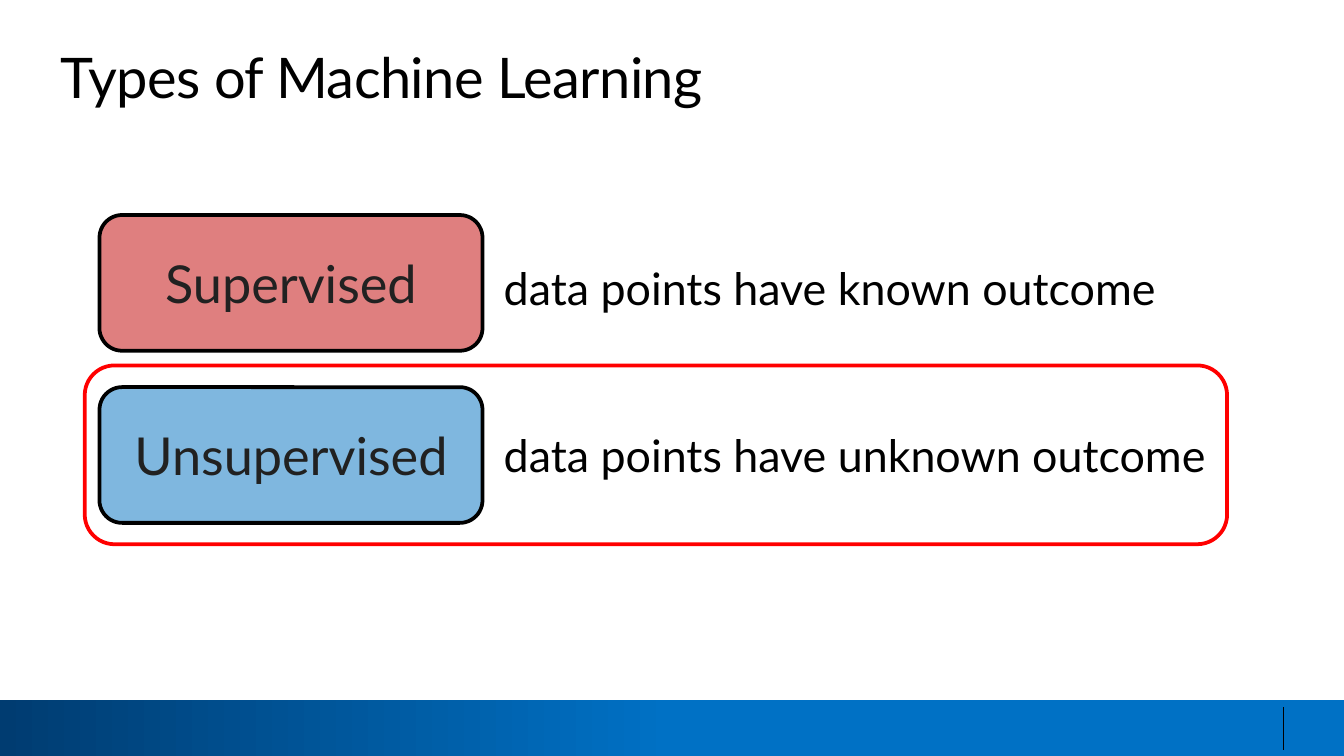
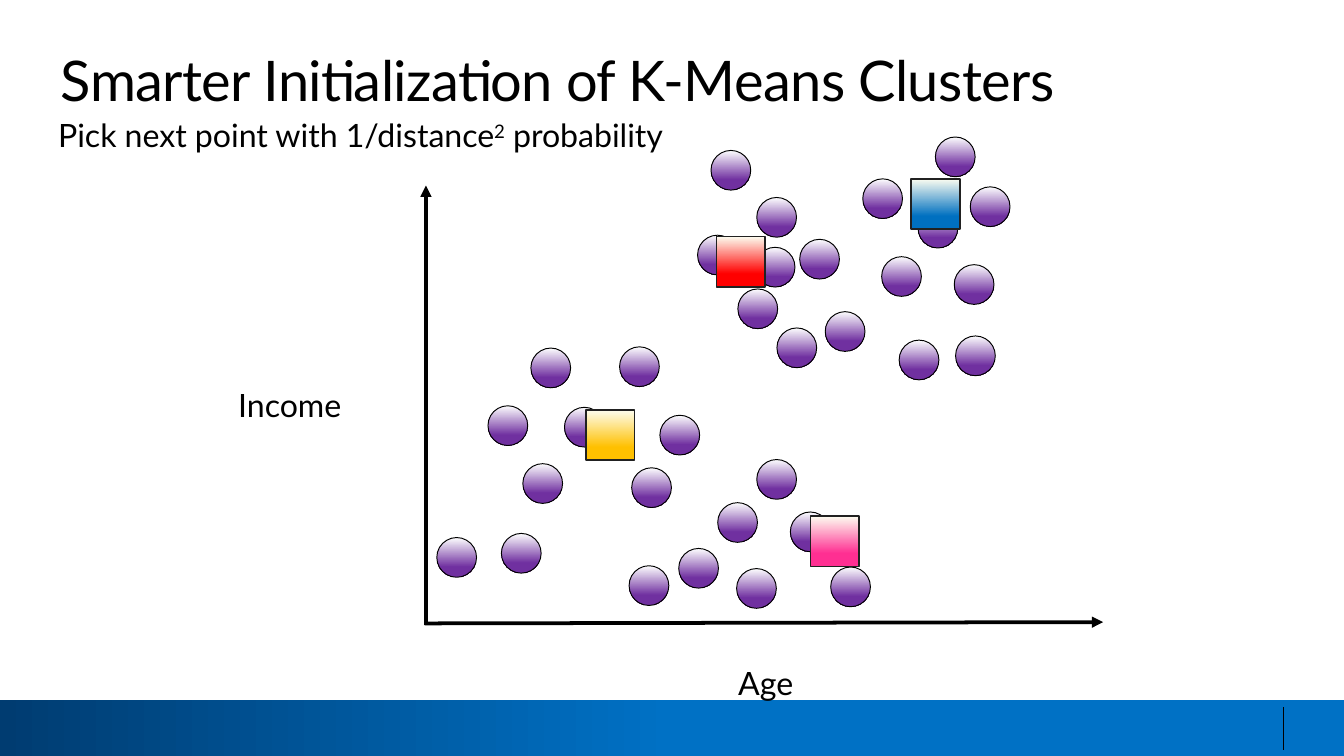
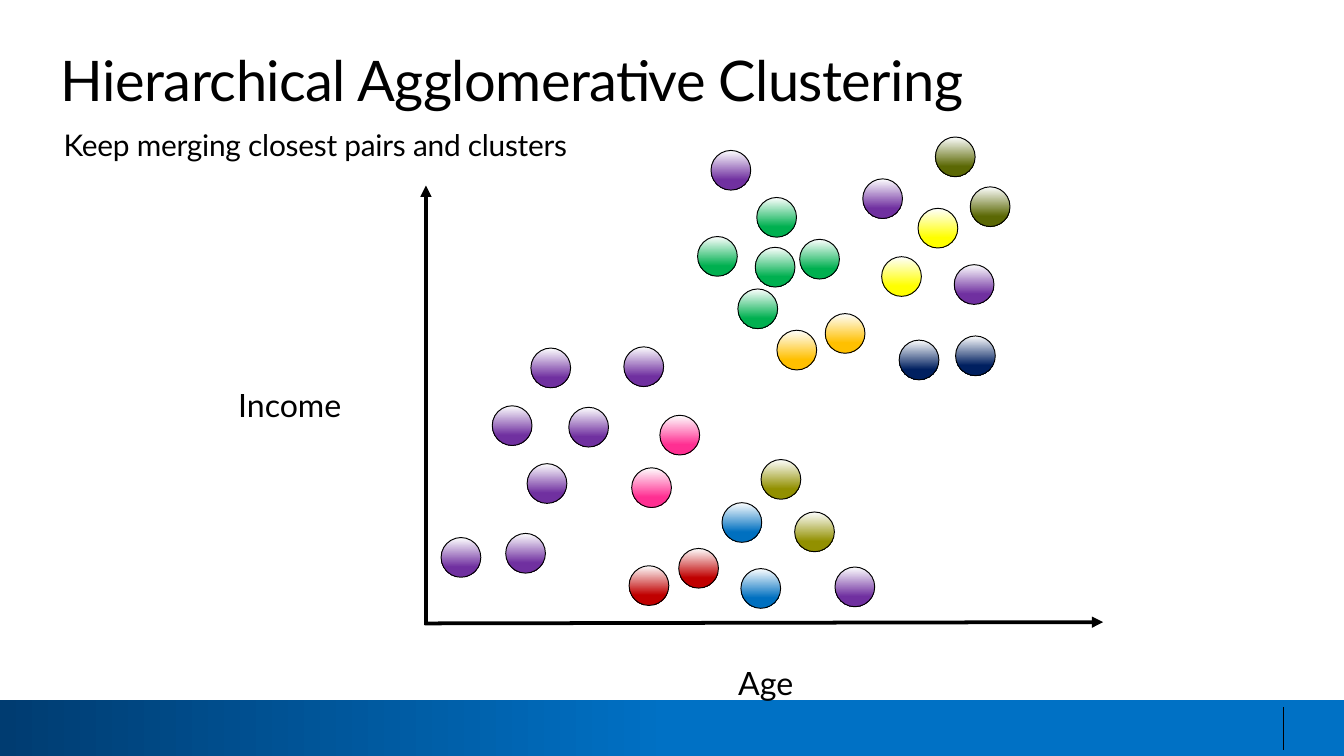
from lxml import etree
from pptx import Presentation
from pptx import util as u
from pptx.dml.color import RGBColor
from pptx.enum import shapes, text
from pptx.oxml import ns

FONT = "Lato"
BLACK, INK = "000000", "212121"
PURPLE, GREEN, AMBER, NAVY = "7030A0", "00B050", "FFC000", "002060"
YELLOW, MOSS, PINK, RED = "FFFF00", "5B6804", "FF2F92", "C00000"
BLUE, OLIVE, BRIGHT_RED = "0070C0", "929000", "FF0000"

W, H = 720, 405
BAND = (0, 375, W, 30)
PLOT = (228, 99, 363, 235)
TYPES = (45.4, 115.2, 612, 176.4)
DOT = 21.3
CENTROID = (26, 27)

# Offsets from the plot corner, colour after merging, shift on the merging slide
CUSTOMERS = [
    (152.9, -18.4, PURPLE, 0, 0),
    (145.7, 27, GREEN, 0, 0.7),
    (177.4, 6.8, GREEN, 0, 0),
    (176.6, 33.5, GREEN, 0, 0),
    (167.3, 55.8, GREEN, 0, 0),
    (200.4, 29.2, GREEN, 0, 0),
    (214.1, 68, AMBER, 0, 1),
    (188.2, 76.7, AMBER, 0, 1.2),
    (253.7, 83.2, NAVY, 0, 0),
    (283.9, 81, NAVY, 0, 0),
    (283.2, 42.8, PURPLE, 0, 0),
    (244.3, 38.5, YELLOW, 0, 0),
    (263.8, 12.6, YELLOW, 0, 0),
    (291.8, 1.1, MOSS, 0, 0),
    (273.1, -25.6, MOSS, 0, 0),
    (234.2, -3.2, PURPLE, 0, 0),
    (6, 189, PURPLE, 2.3, 0),
    (33.4, 118.4, PURPLE, 2.3, 0),
    (56.4, 87.5, PURPLE, 0, 0),
    (74.4, 119.2, PURPLE, 2.3, 0),
    (103.9, 86.8, PURPLE, 2.3, 0),
    (125.5, 123.5, PINK, 0, 0),
    (110.4, 151.6, PINK, 0, 0),
    (52.1, 149.4, PURPLE, 2.3, 0),
    (40.6, 186.8, PURPLE, 2.3, 0),
    (109, 204.1, RED, 0, 0),
    (135.6, 194.8, RED, 0, 0),
    (156.5, 170.3, BLUE, 2.3, 0),
    (177.4, 147.2, OLIVE, 2.3, 0),
    (195.4, 175.3, OLIVE, 2.3, 0),
    (166.6, 205.6, BLUE, 2.3, 0),
    (217, 204.8, PURPLE, 2.3, 0),
]
CENTROIDS = [
    (85.9, 120.6, AMBER),
    (260.2, -3.2, BLUE),
    (155.8, 27.7, BRIGHT_RED),
    (206.2, 177.5, PINK),
]


def rgb(value):
    return RGBColor.from_string(value)


def pts(box):
    return [u.Pt(v) for v in box]


def add_shape(s, kind, box, line=None, width=1):
    sp = s.shapes.add_shape(kind, *pts(box))
    sp.shadow.inherit = False
    sp.fill.background()
    if line:
        sp.line.color.rgb = rgb(line)
        sp.line.width = u.Pt(width)
    else:
        sp.line.fill.background()
    return sp


def fade(sp, stops, angle):
    """Fill with two (position, colour) stops."""
    sp.fill.gradient()
    sp.fill.gradient_angle = angle
    for stop, (position, colour) in zip(sp.fill.gradient_stops, stops):
        stop.position = position
        stop.color.rgb = rgb(colour)


def fill_half(sp, colour):
    """Fill with a half-transparent colour."""
    sp.fill.solid()
    sp.fill.fore_color.rgb = rgb(colour)
    clr = sp.element.spPr.find(ns.qn("a:solidFill")).find(ns.qn("a:srgbClr"))
    etree.SubElement(clr, ns.qn("a:alpha"), val="50000")


def add_line(s, start, end, width, arrow=False):
    c = s.shapes.add_connector(shapes.MSO_CONNECTOR.STRAIGHT, *pts(start + end))
    c.line.color.rgb = rgb(BLACK)
    c.line.width = u.Pt(width)
    if arrow:
        etree.SubElement(c.get_or_add_ln(), ns.qn("a:tailEnd"), type="triangle")
    etree.SubElement(c.element.spPr, ns.qn("a:effectLst"))
    return c


def style(p, size, colour=BLACK, spacing=0):
    for r in p.runs:
        r.font.name = FONT
        r.font.size = u.Pt(size)
        r.font.color.rgb = rgb(colour)
        if spacing:
            r.font._element.set("spc", str(round(spacing * 100)))


def add_text(s, box, parts, size, spacing=0, leading=None, centre=False, inset=False):
    tf = s.shapes.add_textbox(*pts(box)).text_frame
    tf.word_wrap = True
    if not inset:
        tf.margin_left = u.Pt(1)
        tf.margin_right = tf.margin_top = tf.margin_bottom = 0
    p = tf.paragraphs[0]
    for part in parts:
        p.add_run().text = part
    if leading:
        p.line_spacing = leading
    if centre:
        p.alignment = text.PP_ALIGN.CENTER
    style(p, size, spacing=spacing)
    return p


def add_title(s, title, top=24.5):
    add_text(s, (31.7, top, 664.6, 36), [title], 30, spacing=-0.3)


def move_band_to_layout(s, layout, box):
    """Draw the footer band and leave it on the layout that all slides share."""
    x, y, w, h = box
    band = add_shape(s, shapes.MSO_SHAPE.RECTANGLE, box)
    fade(band, [(0, "003C71"), (0.5, "0071C5")], 0)
    divider = add_line(s, (687.6, y + 3.7), (687.6, y + h - 3.3), 0.75)
    for part in (band, divider):
        layout.shapes.element.append(part.element)


def add_types(s, box):
    x, y, w, h = box
    rows = [
        ("Supervised", RED, "data points have known outcome", 0, 6.5),
        ("Unsupervised", BLUE, "data points have unknown outcome", 92.2, 3.6),
    ]
    rounded = shapes.MSO_SHAPE.ROUNDED_RECTANGLE
    for name, colour, meaning, top, drop in rows:
        sp = add_shape(s, rounded, (x + 7.9, y + top, 205.2, 72.7), BLACK, 2)
        fill_half(sp, colour)
        tf = sp.text_frame
        tf.text = name
        tf.vertical_anchor = text.MSO_ANCHOR.MIDDLE
        p = tf.paragraphs[0]
        p.alignment = text.PP_ALIGN.CENTER
        style(p, 28, INK)
        add_text(s, (x + 217.4, y + top + drop, 415, 50), [meaning], 24,
                 leading=1.5, inset=True)
    add_shape(s, rounded, (x, y + 80.6, w, h - 80.6), BRIGHT_RED, 2)


def add_axes(s, box):
    x, y, w, h = box
    add_text(s, (x + 51.4, y + 248.8, 260.6, 27.4), ["Age"], 17.2,
             leading=u.Pt(28.5), centre=True)
    add_text(s, (x - 111.4, y + 99.7, 76.3, 27.4), ["Income"], 17.2,
             leading=u.Pt(28.5), centre=True)
    add_line(s, (x + 0.2, y + h + 0.8), (x + 0.2, y + 0.4), 2, arrow=True)
    add_line(s, (x - 0.5, y + h), (x + w, y + h - 0.7), 2, arrow=True)


def add_customers(s, box, merged):
    for left, top, colour, dx, dy in CUSTOMERS:
        if merged:
            left, top = left + dx, top + dy
        else:
            colour = PURPLE
        dot = add_shape(s, shapes.MSO_SHAPE.OVAL,
                        (box[0] + left, box[1] + top, DOT, DOT), BLACK, 0.5)
        fade(dot, [(0, "FEFFFF"), (0.74, colour)], 270)


def add_centroids(s, box):
    for left, top, colour in CENTROIDS:
        sp = add_shape(s, shapes.MSO_SHAPE.RECTANGLE,
                       (box[0] + left, box[1] + top, *CENTROID), INK, 1)
        fade(sp, [(0, "FDFEF1"), (0.74, colour)], 270)


def types_slide(s):
    add_title(s, "Types of Machine Learning", 23)
    add_types(s, TYPES)


def initialization_slide(s):
    add_title(s, "Smarter Initialization of K-Means Clusters")
    p = add_text(s, (30.2, 62, 350.6, 21),
                 ["Pick next point with 1/distance", "2", " probability"], 17.2)
    p.runs[1].font._element.set("baseline", "30000")
    add_axes(s, PLOT)
    add_customers(s, PLOT, merged=False)
    add_centroids(s, PLOT)


def merging_slide(s):
    add_title(s, "Hierarchical Agglomerative Clustering")
    add_text(s, (33.1, 58.3, 393.8, 26.6), ["Keep merging closest pairs and clusters"],
             16, spacing=-0.1, leading=1.5)
    add_axes(s, PLOT)
    add_customers(s, PLOT, merged=True)


def main():
    prs = Presentation()
    prs.slide_width, prs.slide_height = u.Pt(W), u.Pt(H)
    blank = prs.slide_layouts[6]
    slides = [prs.slides.add_slide(blank) for _ in range(3)]
    move_band_to_layout(slides[0], blank, BAND)
    for build, s in zip((types_slide, initialization_slide, merging_slide), slides):
        build(s)
    prs.save("out.pptx")


if __name__ == "__main__":
    main()
